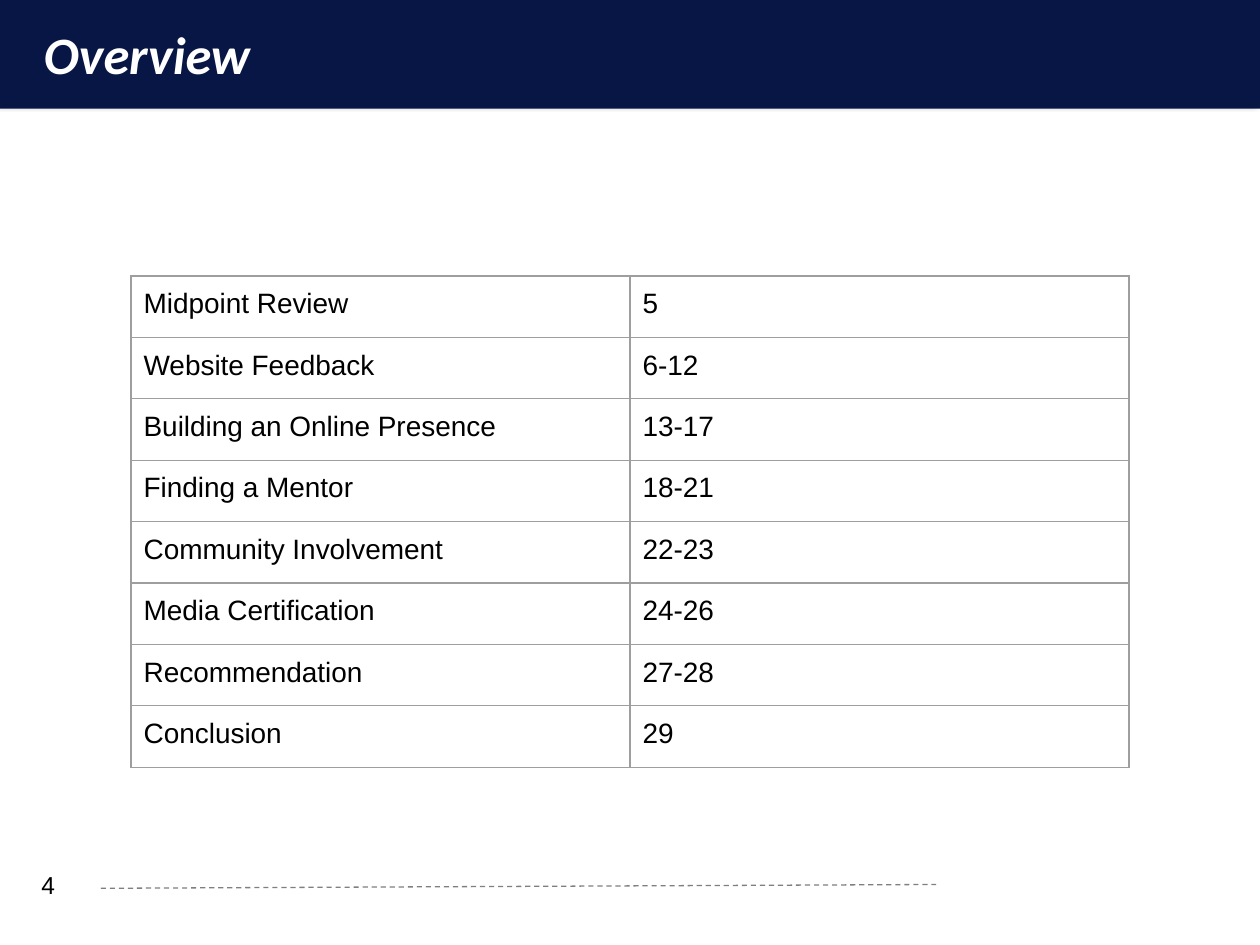
from dataclasses import dataclass

from lxml.etree import SubElement
from pptx import Presentation
from pptx.dml.color import RGBColor
from pptx.enum.dml import MSO_LINE
from pptx.enum.shapes import MSO_CONNECTOR, MSO_SHAPE
from pptx.enum.text import MSO_ANCHOR
from pptx.oxml import parse_xml
from pptx.oxml.ns import nsdecls, qn
from pptx.util import Inches, Pt

NAVY = RGBColor(0x08, 0x16, 0x46)
WHITE = RGBColor(0xFF, 0xFF, 0xFF)
BLACK = RGBColor(0x00, 0x00, 0x00)
RULE_GRAY = RGBColor(0x7F, 0x7F, 0x7F)
BORDER_GRAY = RGBColor(0x9E, 0x9E, 0x9E)

SLIDE_WIDTH = Inches(10)
SLIDE_HEIGHT = Inches(7.5)
PADDING = Inches(0.1)


@dataclass(frozen=True)
class Area:
    left: float
    top: float
    width: float
    height: float

    def lengths(self) -> tuple[int, ...]:
        return (
            int(self.left * SLIDE_WIDTH),
            int(self.top * SLIDE_HEIGHT),
            int(self.width * SLIDE_WIDTH),
            int(self.height * SLIDE_HEIGHT),
        )


@dataclass(frozen=True)
class Section:
    title: str
    pages: str


BANNER = Area(0, 0, 1, 0.115)
TITLE = Area(0.025, 0.009, 0.95, 0.094)
PAGE_NUMBER = Area(0.023, 0.917, 0.049, 0.039)
CONTENTS = Area(0.104, 0.292, 0.792, 0.52)
FOOTER_RULE = Area(0.08, 0.94, 0.663, -0.004)

SECTIONS = [
    Section("Midpoint Review", "5"),
    Section("Website Feedback", "6-12"),
    Section("Building an Online Presence", "13-17"),
    Section("Finding a Mentor", "18-21"),
    Section("Community Involvement", "22-23"),
    Section("Media Certification", "24-26"),
    Section("Recommendation", "27-28"),
    Section("Conclusion", "29"),
]


def write_text(text_frame, text: str, *, size: float, font: str = "Arial",
               color: RGBColor = BLACK, bold: bool = False, italic: bool = False,
               anchor=MSO_ANCHOR.TOP, vertical_margin: int = PADDING) -> None:
    text_frame.word_wrap = True
    text_frame.vertical_anchor = anchor
    text_frame.margin_left = text_frame.margin_right = PADDING
    text_frame.margin_top = text_frame.margin_bottom = vertical_margin
    run = text_frame.paragraphs[0].add_run()
    run.text = text
    run.font.name = font
    run.font.size = Pt(size)
    run.font.bold = bold
    run.font.italic = italic
    run.font.color.rgb = color


def add_footer_rule(slide, area: Area) -> None:
    left, top, width, height = area.lengths()
    rule = slide.shapes.add_connector(
        MSO_CONNECTOR.STRAIGHT, left, top, left + width, top + height)
    rule.line.color.rgb = RULE_GRAY
    rule.line.width = Pt(0.75)
    rule.line.dash_style = MSO_LINE.DASH
    SubElement(rule.element.spPr, qn("a:effectLst"))


def add_banner(slide, area: Area) -> None:
    banner = slide.shapes.add_shape(MSO_SHAPE.RECTANGLE, *area.lengths())
    banner.fill.solid()
    banner.fill.fore_color.rgb = NAVY
    banner.line.fill.background()
    banner.element.spPr.append(parse_xml(
        f'<a:effectLst {nsdecls("a")}>'
        f'<a:outerShdw blurRad="{Pt(4)}" dist="{Pt(3)}" dir="13500000">'
        '<a:srgbClr val="000000"><a:alpha val="40000"/></a:srgbClr>'
        '</a:outerShdw></a:effectLst>'))


def add_cell_borders(cell) -> None:
    properties = cell._tc.get_or_add_tcPr()
    for position, side in enumerate(("lnL", "lnR", "lnT", "lnB")):
        properties.insert(position, parse_xml(
            f'<a:{side} {nsdecls("a")} w="{Pt(0.75)}"><a:solidFill>'
            f'<a:srgbClr val="{BORDER_GRAY}"/></a:solidFill></a:{side}>'))


def add_contents(slide, area: Area, sections: list[Section]) -> None:
    left, top, width, height = area.lengths()
    table = slide.shapes.add_table(len(sections), 2, left, top, width, height).table
    table.first_row = False
    table.horz_banding = False
    for row, section in enumerate(sections):
        for column, text in enumerate((section.title, section.pages)):
            cell = table.cell(row, column)
            write_text(cell.text_frame, text, size=16)
            cell.margin_left = cell.margin_right = PADDING
            cell.margin_top = cell.margin_bottom = PADDING
            cell.fill.background()
            add_cell_borders(cell)


def main() -> None:
    presentation = Presentation()
    presentation.slide_width = SLIDE_WIDTH
    presentation.slide_height = SLIDE_HEIGHT
    slide = presentation.slides.add_slide(presentation.slide_layouts[6])

    add_footer_rule(slide, FOOTER_RULE)
    add_banner(slide, BANNER)
    title = slide.shapes.add_textbox(*TITLE.lengths())
    write_text(title.text_frame, "Overview", size=30, font="Calibri", color=WHITE,
               bold=True, italic=True, anchor=MSO_ANCHOR.BOTTOM)
    page_number = slide.shapes.add_textbox(*PAGE_NUMBER.lengths())
    write_text(page_number.text_frame, "4", size=14, anchor=MSO_ANCHOR.MIDDLE,
               vertical_margin=PADDING // 2)
    add_contents(slide, CONTENTS, SECTIONS)

    presentation.save("out.pptx")


if __name__ == "__main__":
    main()
